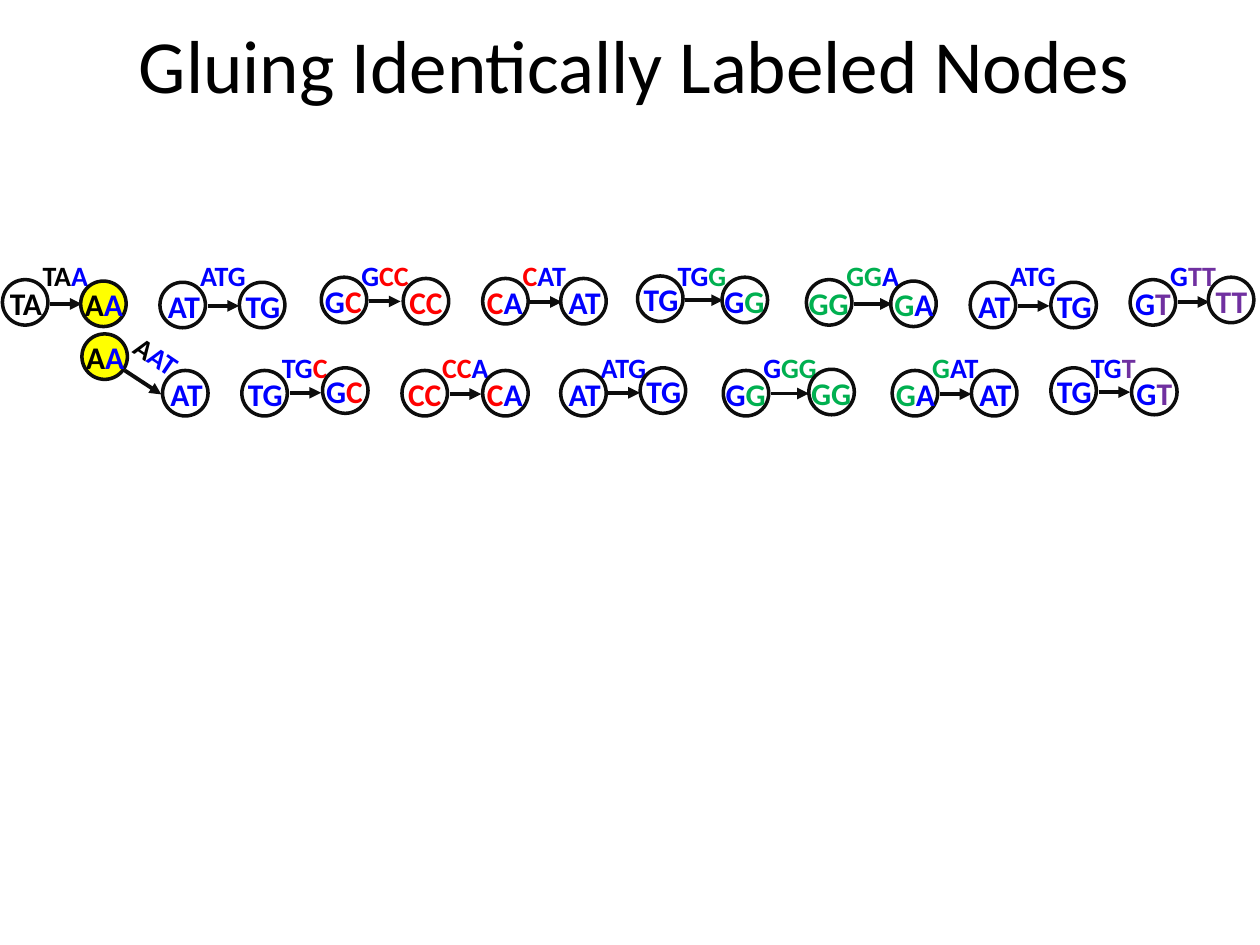
import itertools

import pptx
import pptx.dml.color
import pptx.enum.shapes
import pptx.enum.text
import pptx.util
from lxml import etree
from pptx.util import Pt

COLORS = {"k": "000000", "b": "0000FF", "r": "FF0000", "g": "00B050",
          "p": "7030A0", "outline": "0D0D0D", "glued": "FFFF00"}
FONT = "Calibri"
NODE = 26
ARROW_START = 27.3
LABEL_LEFT = 15.8
LABEL_SIZE = (46, 26.6)

# Node word: left of its text relative to the circle, width of its text box
WORDS = {"TA": (-2.9, 34.6), "AT": (-2.6, 34.6), "TT": (-2.9, 32.4),
         "TG": (-3.6, 35.3), "CC": (-3.6, 33.8), "GT": (-4.3, 35.3),
         "AA": (-4.7, 36.7), "GC": (-5, 36), "CA": (-4.7, 35.3),
         "GA": (-5, 37.4), "GG": (-5.8, 37.4)}

# Edge label, colour of each letter, corners of the source and target circles
TOP_ROW = [
    ("TAA", "kkb", (1.4, 159.8), (46.1, 160.6)),
    ("ATG", "bbb", (91.4, 161.3), (136.8, 161.3)),
    ("GCC", "brr", (183.6, 158.4), (230.4, 159.1)),
    ("CAT", "rbb", (275.8, 159.1), (320.4, 159.1)),
    ("TGG", "bbg", (364.3, 157.7), (412.6, 158.4)),
    ("GGA", "ggb", (460.8, 159.8), (509, 160.6)),
    ("ATG", "bbb", (554.4, 161.3), (600.5, 161.3)),
    ("GTT", "bpp", (645.8, 159.8), (690.5, 158.4)),
]
BOTTOM_ROW = [
    ("TGC", "bbr", (138.2, 211.7), (184.3, 210.2)),
    ("CCA", "rrb", (229.7, 211.7), (275.8, 211.7)),
    ("ATG", "bbb", (320.4, 211.7), (365.8, 210.2)),
    ("GGG", "bgg", (413.3, 211.7), (462.2, 211)),
    ("GAT", "gbb", (509.8, 211.7), (555.1, 211.7)),
    ("TGT", "bbp", (600.5, 210.2), (646.6, 211)),
]
SLANTED_EDGE = ("AAT", "kbb", (46.8, 190.8), (92.9, 211.7))


def rgb(name):
    return pptx.dml.color.RGBColor.from_string(COLORS[name])


def add_letters(shapes, letters, tones, box, size):
    """Text box whose letters are coloured one by one by tones."""
    textbox = shapes.add_textbox(*map(Pt, box))
    frame = textbox.text_frame
    frame.word_wrap = False
    frame.auto_size = pptx.enum.text.MSO_AUTO_SIZE.SHAPE_TO_FIT_TEXT
    paragraph = frame.paragraphs[0]
    for tone, pairs in itertools.groupby(zip(letters, tones), key=lambda p: p[1]):
        run = paragraph.add_run()
        run.text = "".join(letter for letter, _ in pairs)
        run.font.name = FONT
        run.font.size = Pt(size)
        run.font.bold = True
        run.font.color.rgb = rgb(tone)
    return textbox


def add_node(shapes, word, tones, corner):
    left, top = corner
    circle = shapes.add_shape(pptx.enum.shapes.MSO_SHAPE.OVAL,
                              Pt(left), Pt(top), Pt(NODE), Pt(NODE))
    circle.shadow.inherit = False
    if word == "AA":
        circle.fill.solid()
        circle.fill.fore_color.rgb = rgb("glued")
    else:
        circle.fill.background()
    circle.line.color.rgb = rgb("outline")
    circle.line.width = Pt(2)
    shift, width = WORDS[word]
    add_letters(shapes, word, tones, (left + shift, top - 1, width, 29), 18)


def add_arrow(shapes, start, end):
    arrow = shapes.add_connector(pptx.enum.shapes.MSO_CONNECTOR.STRAIGHT,
                                 *map(Pt, start + end))
    arrow.line.color.rgb = rgb("outline")
    arrow.line.width = Pt(2.25)
    line = arrow.line._get_or_add_ln()
    namespace = line.nsmap["a"]
    etree.SubElement(line, f"{{{namespace}}}tailEnd", type="triangle")
    etree.SubElement(line.getparent(), f"{{{namespace}}}effectLst")


def add_edge(slide, edge, label_corner, start, end, angle=0):
    """Grouped arrow, label and the two nodes named by the label's ends."""
    label, tones, source, target = edge
    shapes = slide.shapes.add_group_shape().shapes
    add_arrow(shapes, start, end)
    text = add_letters(shapes, label, tones, label_corner + LABEL_SIZE, 16)
    text.rotation = angle
    add_node(shapes, label[:2], tones[:2], source)
    add_node(shapes, label[1:], tones[1:], target)


def add_edge_row(slide, edges, label_top):
    for edge in edges:
        label, _, (left, top), (_, target_top) = edge
        middle = (top + target_top) / 2 + 13.5
        start = left + ARROW_START
        length = 21.6 if "GG" in label else 18
        add_edge(slide, edge, (left + LABEL_LEFT, label_top),
                 (start, middle), (start + length, middle))


def add_title(slide, text, box):
    title = slide.shapes.add_textbox(*map(Pt, box))
    frame = title.text_frame
    frame.word_wrap = True
    frame.vertical_anchor = pptx.enum.text.MSO_ANCHOR.MIDDLE
    paragraph = frame.paragraphs[0]
    paragraph.alignment = pptx.enum.text.PP_ALIGN.CENTER
    run = paragraph.add_run()
    run.text = text
    run.font.name = FONT
    run.font.size = Pt(42.9)
    run.font.color.rgb = rgb("k")


def main():
    deck = pptx.Presentation()
    deck.slide_width, deck.slide_height = Pt(720), Pt(540)
    slide = deck.slides.add_slide(deck.slide_layouts[6])
    add_edge_row(slide, TOP_ROW, 144)
    add_edge(slide, SLANTED_EDGE, (68.8, 191.7), (71.3, 211.7), (92.2, 225.4), 34)
    add_edge_row(slide, BOTTOM_ROW, 196.6)
    add_title(slide, "Gluing Identically Labeled Nodes", (16.9, 6.2, 690.5, 59.8))
    deck.save("out.pptx")


if __name__ == "__main__":
    main()
